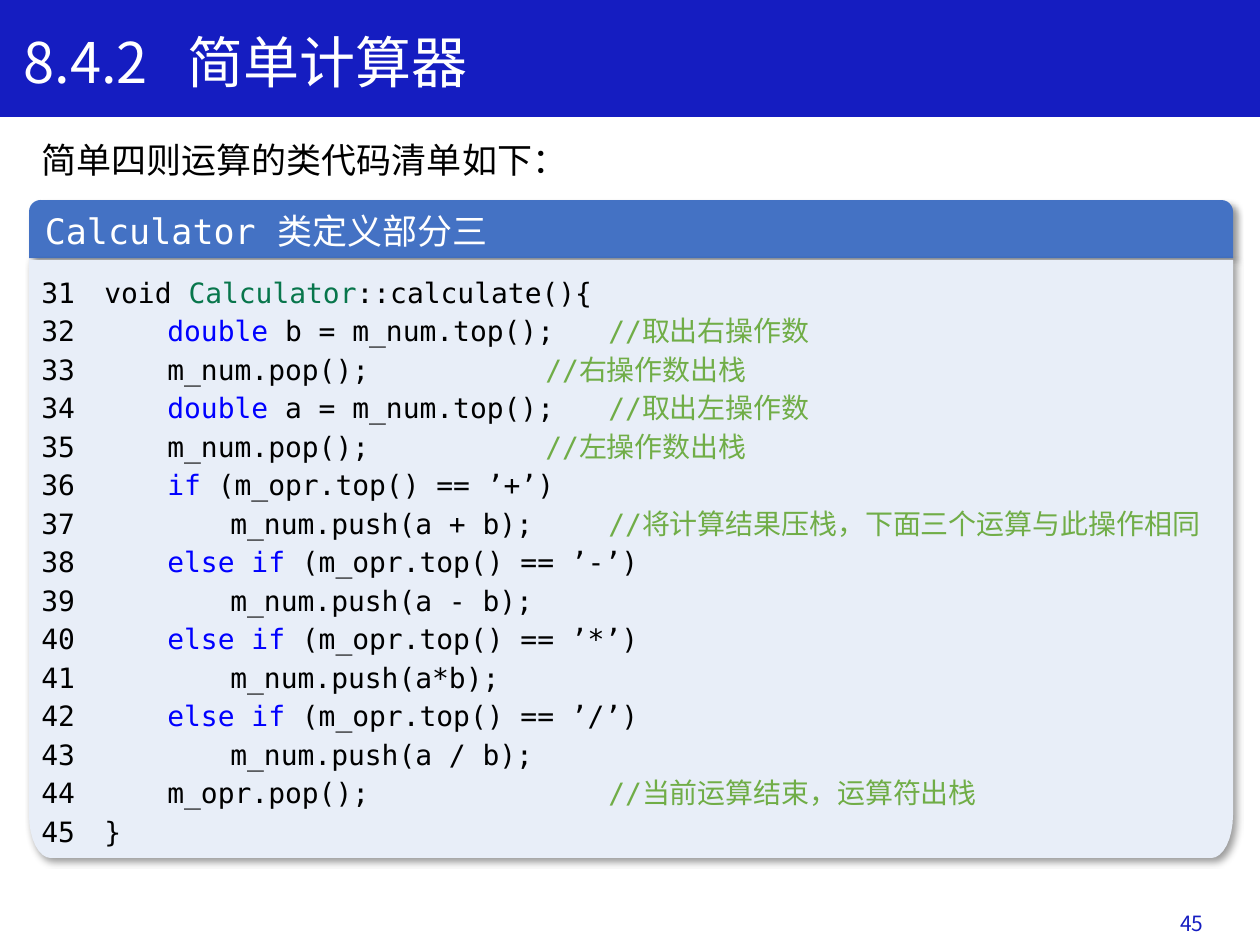
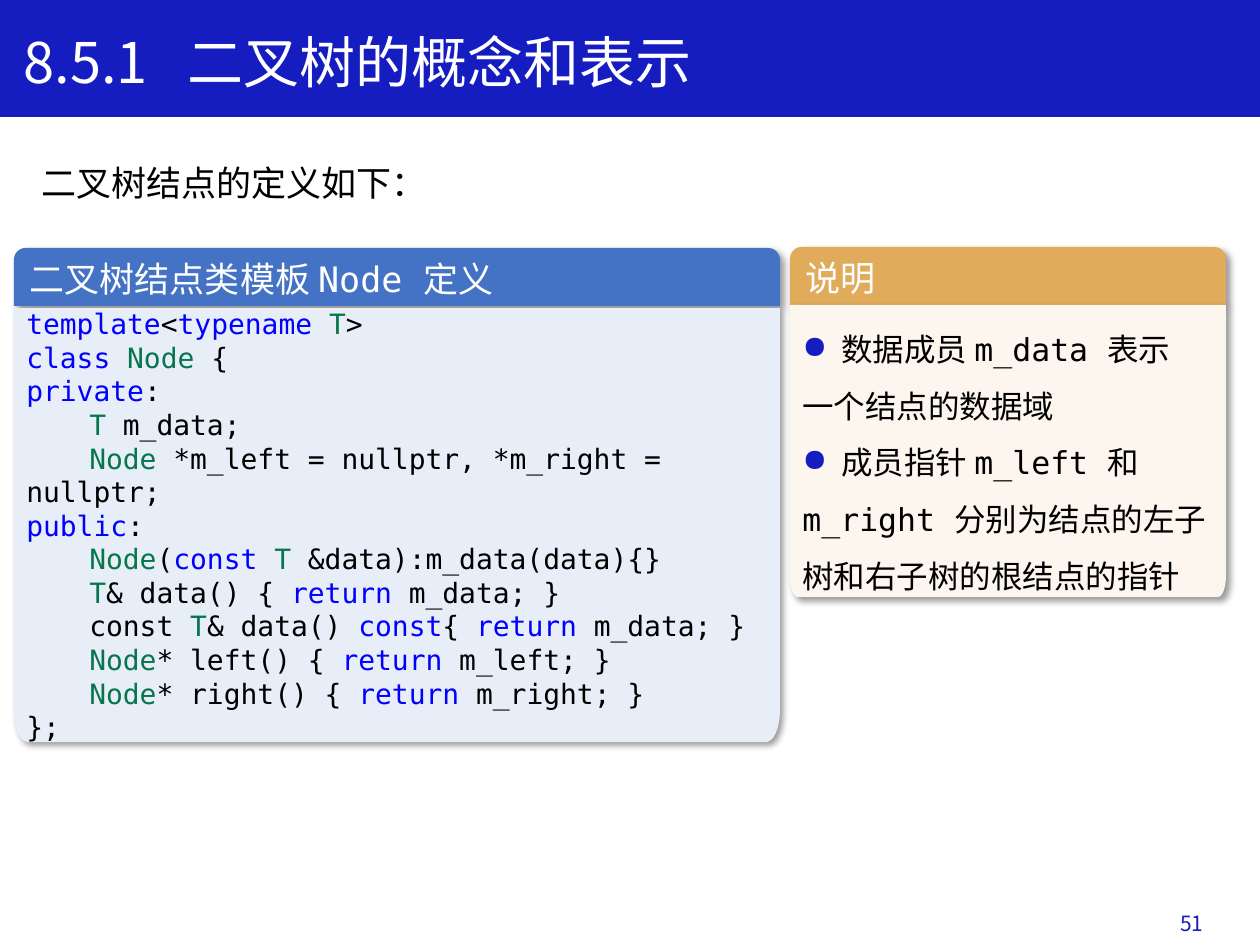
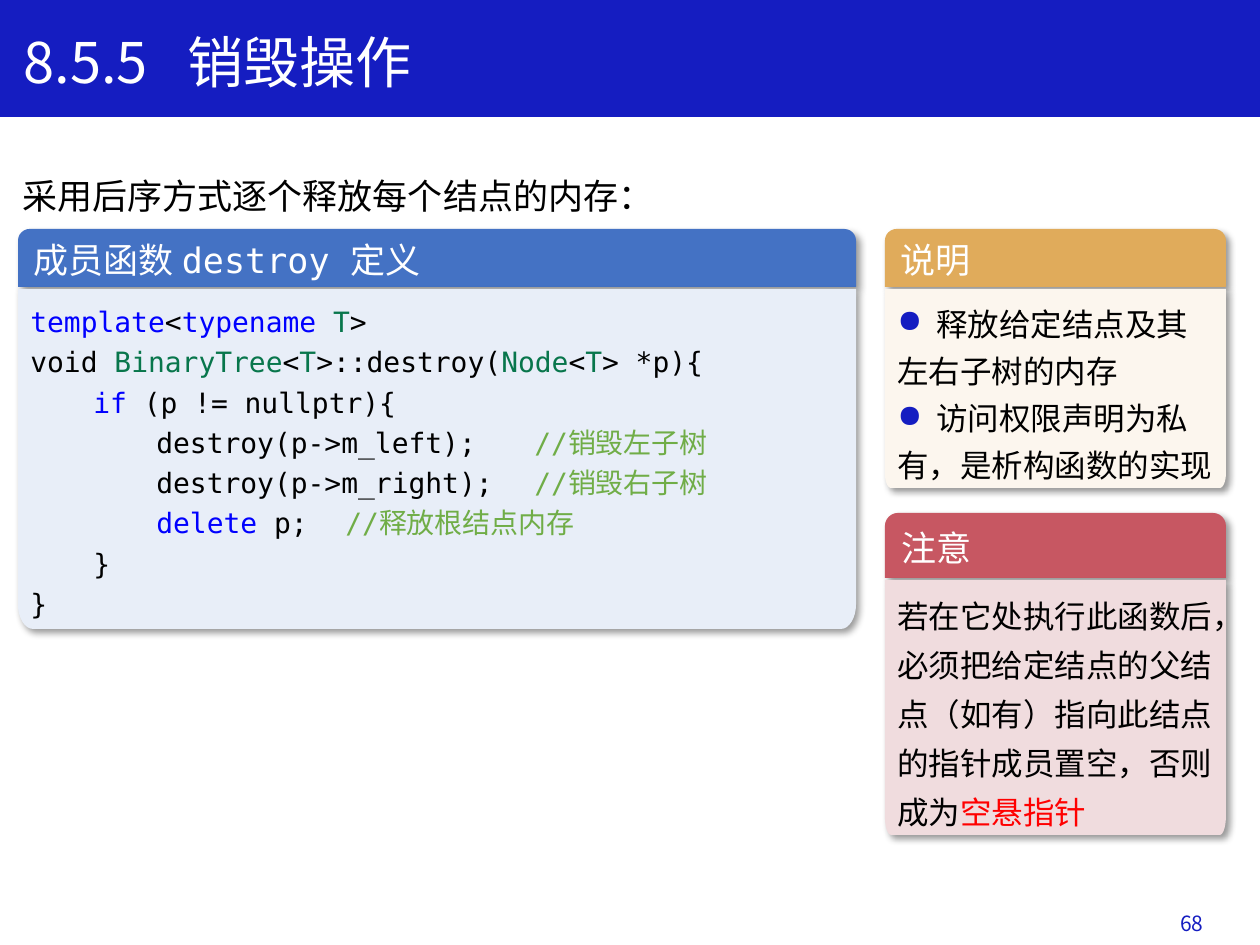
from math import cos, pi, sin

from lxml.etree import SubElement
from pptx import Presentation
from pptx.dml.color import RGBColor
from pptx.enum.shapes import MSO_SHAPE as SHAPE
from pptx.enum.text import MSO_ANCHOR as ANCHOR, PP_ALIGN as ALIGN
from pptx.oxml.ns import qn
from pptx.util import Pt

PX = 914400 / 126
SANS, MONO = "Noto Sans CJK SC", "DejaVu Sans Mono"
NAVY, WHITE, BLACK = "151DC1", "FFFFFF", "000000"
MARKS = {"k": "0000FF", "t": "08764C", "c": "70AD47", "r": "FF0000"}
CODE, NOTE, WARN = ("4472C4", "E8EEF8"), ("E0AB5B", "FCF6EE"), ("C75762", "F0DCDE")
TAB, INDENT = 63, 39

CALCULATOR = [
    "31 \tvoid |t:Calculator|::calculate(){",
    "32 \t\t|k:double| b = m_num.top(); \t|c://取出右操作数|",
    "33\t\tm_num.pop(); \t\t\t|c://右操作数出栈|",
    "34 \t\t|k:double| a = m_num.top(); \t|c://取出左操作数|",
    "35 \t\tm_num.pop(); \t\t\t|c://左操作数出栈|",
    "36 \t\t|k:if| (m_opr.top() == ’+’)",
    "37 \t\t\tm_num.push(a + b); \t|c://将计算结果压栈，下面三个运算与此操作相同|",
    "38 \t\t|k:else if| (m_opr.top() == ’-’)",
    "39 \t\t\tm_num.push(a - b);",
    "40 \t\t|k:else if| (m_opr.top() == ’*’)",
    "41 \t\t\tm_num.push(a*b);",
    "42 \t\t|k:else if| (m_opr.top() == ’/’)",
    "43 \t\t\tm_num.push(a / b);",
    "44 \t\tm_opr.pop();\t\t\t\t|c://当前运算结束，运算符出栈|",
    "45 \t}",
]
NODE = [
    "|k:template|<|k:typename| |t:T|>",
    "|k:class| |t:Node| {",
    "|k:private|:",
    "\t|t:T| m_data;",
    "\t|t:Node| *m_left = nullptr, *m_right = nullptr;",
    "|k:public|:",
    "\t|t:Node|(|k:const| |t:T| &data):m_data(data){}",
    "\t|t:T|& data() { |k:return| m_data; }",
    "\tconst |t:T|& data() |k:const|{ |k:return| m_data; }",
    "\t|t:Node|* left() { |k:return| m_left; }",
    "\t|t:Node|* right() { |k:return| m_right; }",
    "};",
]
NODE_NOTES = [
    "●数据成员 m_data 表示",
    "一个结点的数据域",
    "●成员指针 m_left 和",
    "m_right 分别为结点的左子树和右子树的根结点的指针",
]
DESTROY = [
    "|k:template|<|k:typename| |t:T|>",
    "void |t:BinaryTree|<|t:T|>::destroy(|t:Node|<|t:T|> *p){",
    "\t|k:if| (p != nullptr){",
    "\t\tdestroy(p->m_left);\t|c://销毁左子树|",
    "\t\tdestroy(p->m_right);\t|c://销毁右子树|",
    "\t\t|k:delete| p;\t|c://释放根结点内存|",
    "\t}",
    "}",
]
DESTROY_NOTES = [
    "●释放给定结点及其",
    "左右子树的内存",
    "●访问权限声明为私",
    "有，是析构函数的实现",
]
DESTROY_WARNING = [
    "若在它处执行此函数后，必须把给定结点的父结点（如有）指向此结点的指针成员置空，"
    "否则成为|r:空悬指针|",
]


def px(n):
    """Turn pixels into EMU."""
    return round(n * PX)


def rgb(color):
    """Turn a hex string into a colour."""
    return RGBColor.from_string(color)


def paint(s, color):
    """Give a shape a plain fill, no line and no inherited shadow."""
    s.fill.solid()
    s.fill.fore_color.rgb = rgb(color)
    s.line.fill.background()
    s.shadow.inherit = False


def add_shadow(s):
    """Add the soft shadow below and to the right of a panel part."""
    effects = s._element.spPr.find(qn("a:effectLst"))
    outer = SubElement(effects, qn("a:outerShdw"), blurRad=str(Pt(4)), dist=str(Pt(3)),
                       dir="2700000", algn="tl", rotWithShape="0")
    color = SubElement(outer, qn("a:srgbClr"), val=BLACK)
    SubElement(color, qn("a:alpha"), val="40000")


def add_bullet(p):
    """Give a paragraph the round bullet and its hanging indent."""
    pPr = p._p.get_or_add_pPr()
    pPr.set("marL", str(px(INDENT)))
    pPr.set("indent", str(-px(INDENT)))
    color = SubElement(pPr, qn("a:buClr"))
    SubElement(color, qn("a:srgbClr"), val=NAVY)
    SubElement(pPr, qn("a:buChar"), char="●")


def add_tabs(p, stops):
    """Set the left tab stops of a paragraph."""
    tabs = SubElement(p._p.get_or_add_pPr(), qn("a:tabLst"))
    for stop in stops:
        SubElement(tabs, qn("a:tab"), pos=str(px(stop)), algn="l")


def add_run(p, text, size, font, color):
    """Add one formatted run."""
    r = p.add_run()
    r.text = text
    r.font.size = Pt(size)
    r.font.name = font
    r.font.color.rgb = rgb(color)
    SubElement(r._r.get_or_add_rPr(), qn("a:ea"), typeface=SANS)


def write(s, lines, size, font=SANS, color=BLACK, anchor=ANCHOR.TOP, spacing=None,
          stops=(), align=ALIGN.LEFT):
    """Write lines in which |key:text| marks a coloured part."""
    tf = s.text_frame
    tf.word_wrap = True
    tf.vertical_anchor = anchor
    for i, line in enumerate(lines):
        p = tf.add_paragraph() if i else tf.paragraphs[0]
        p.alignment = align
        if spacing:
            p.line_spacing = spacing
        if line.startswith("●"):
            add_bullet(p)
        if stops:
            add_tabs(p, stops)
        for j, part in enumerate(line.removeprefix("●").split("|")):
            if j % 2:
                key, _, text = part.partition(":")
                add_run(p, text, size, font, MARKS[key])
            elif part:
                add_run(p, part, size, font, color)


def add_label(slide, box, text, size, **style):
    """Add a one-line text box."""
    s = slide.shapes.add_textbox(*map(px, box))
    write(s, [text], size, **style)


def add_body(shapes, x, y, w, h, color):
    """Draw a panel body with elliptical lower corners."""
    rx, ry = w * 0.018, h * 0.072
    angles = [i * pi / 16 for i in range(9)]
    right = [(x + w - rx + rx * cos(a), y + h - ry + ry * sin(a)) for a in angles]
    left = [(2 * x + w - cx, cy) for cx, cy in reversed(right)]
    outline = shapes.build_freeform(px(x), px(y))
    outline.add_line_segments([(px(cx), px(cy)) for cx, cy in [(x + w, y), *right, *left]])
    s = outline.convert_to_shape()
    paint(s, color)
    add_shadow(s)
    return s


def add_panel(slide, box, colors, title, lines, spacing=None, head=58, gap=2):
    """Add a titled panel that holds code or notes."""
    x, y, w, h = box
    shapes = slide.shapes.add_group_shape().shapes
    s = shapes.add_shape(SHAPE.ROUND_2_SAME_RECTANGLE, *map(px, (x, y, w, head)))
    s.adjustments[0], s.adjustments[1] = 0.2, 0
    paint(s, colors[0])
    add_shadow(s)
    write(s, [title], 20, MONO, WHITE, ANCHOR.MIDDLE)
    top = head + gap
    s = add_body(shapes, x, y + top, w, h - top, colors[1])
    if colors is CODE:
        stops = [TAB * i for i in range(1, 16)]
        write(s, lines, 16, MONO, anchor=ANCHOR.MIDDLE, spacing=spacing, stops=stops)
    else:
        write(s, lines, 18, MONO, spacing=spacing)


def add_page(prs, section, title, page, lead, lead_at):
    """Add a slide with its band, title, page number and lead sentence."""
    slide = prs.slides.add_slide(prs.slide_layouts[6])
    band = slide.shapes.add_shape(SHAPE.RECTANGLE, 0, 0, px(1260), px(116))
    paint(band, NAVY)
    band.line.color.rgb = rgb(NAVY)
    band.line.width = Pt(1)
    add_label(slide, (932, 898, 284, 50), page, 12, color=NAVY, anchor=ANCHOR.MIDDLE,
              align=ALIGN.RIGHT)
    add_label(slide, (11, 21, 1173, 81), f"{section}\t{title}", 32, color=WHITE, stops=[164])
    add_label(slide, (*lead_at, 1187, 55), lead, 20)
    return slide


def main():
    """Build the three slides."""
    prs = Presentation()
    prs.slide_width, prs.slide_height = px(1260), px(945)

    slide = add_page(prs, "8.4.2", "简单计算器", "45", "简单四则运算的类代码清单如下：", (29, 132))
    add_panel(slide, (29, 200, 1204, 658), CODE, "Calculator 类定义部分三", CALCULATOR, Pt(22))

    slide = add_page(prs, "8.5.1", "二叉树的概念和表示", "51", "二叉树结点的定义如下：", (29, 155))
    add_panel(slide, (14, 248, 766, 494), CODE, "二叉树结点类模板 Node 定义", NODE)
    add_panel(slide, (790, 247, 436, 350), NOTE, "说明", NODE_NOTES, 1.5, gap=0)

    slide = add_page(prs, "8.5.5", "销毁操作", "68", "采用后序方式逐个释放每个结点的内存：", (10, 168))
    add_panel(slide, (18, 229, 838, 400), CODE, "成员函数 destroy 定义", DESTROY, Pt(23))
    add_panel(slide, (885, 229, 341, 259), NOTE, "说明", DESTROY_NOTES, Pt(27))
    add_panel(slide, (885, 513, 341, 322), WARN, "注意", DESTROY_WARNING, Pt(28), head=65)

    prs.save("out.pptx")


if __name__ == "__main__":
    main()
